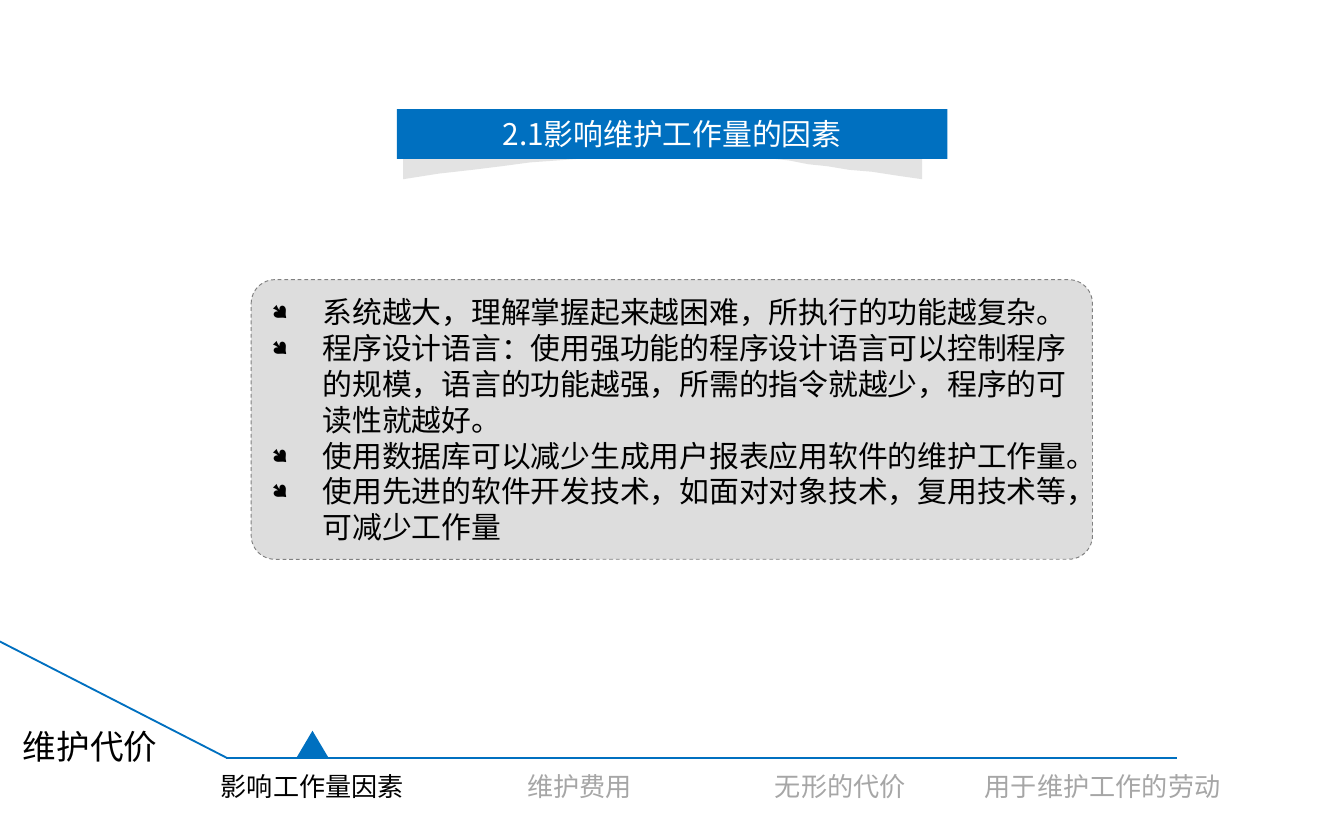
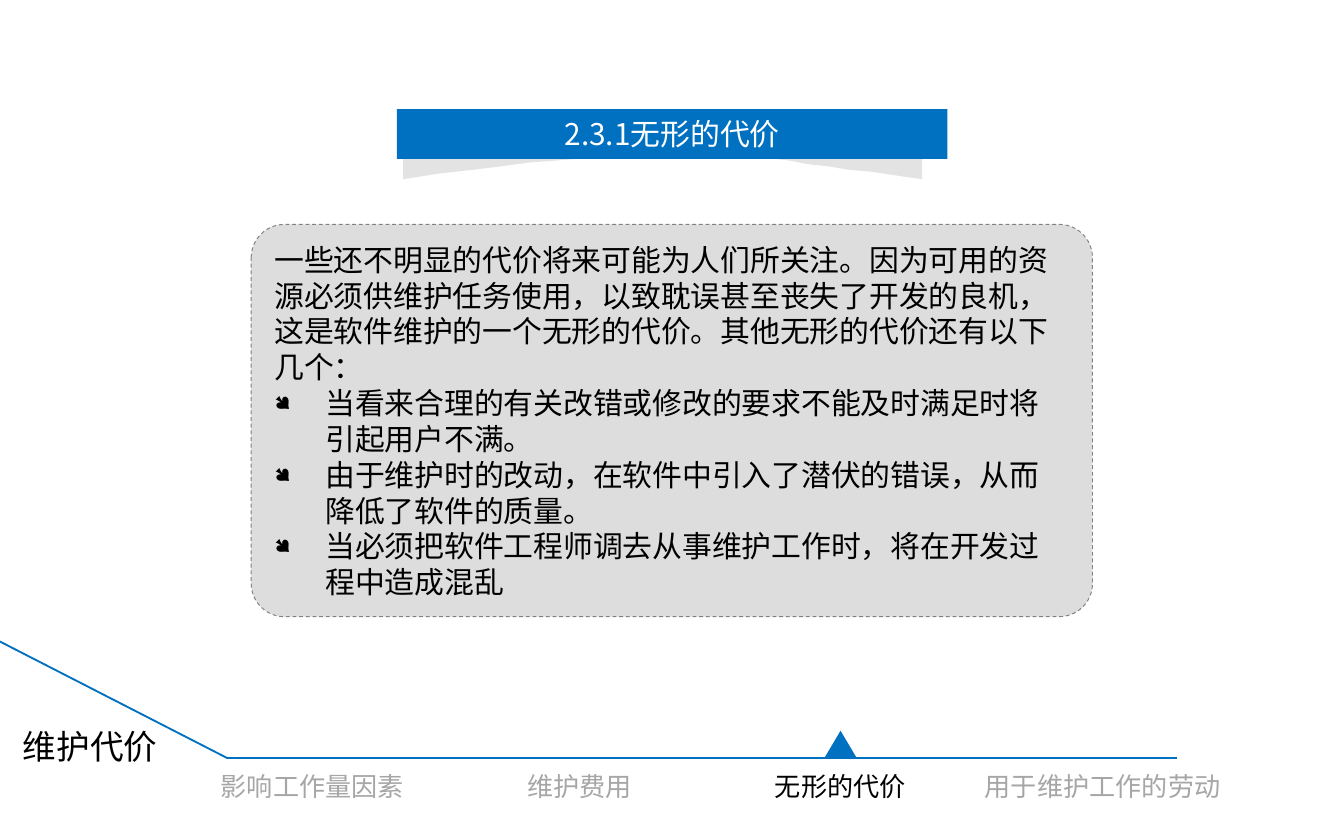
from lxml.etree import SubElement
from pptx import Presentation
from pptx.dml.color import RGBColor
from pptx.enum.dml import MSO_LINE
from pptx.enum.shapes import MSO_CONNECTOR, MSO_SHAPE
from pptx.enum.text import MSO_ANCHOR, MSO_AUTO_SIZE, PP_ALIGN
from pptx.oxml.ns import qn
from pptx.util import Pt

HUES = {"blue": "0070C0", "pale": "DDDDDD", "edge": "808080",
        "black": "000000", "dim": "A6A6A6", "white": "FFFFFF"}
LATO, NOTO = "Lato", "Noto Sans CJK SC"
AXIS = 406
ROUND = 0.085
INDENT = 27.36
BULLET = "●"

CHAPTER = "维护代价"
# label, left, width
STEPS = [("影响工作量因素", 105.1, 124.6), ("维护费用", 227.5, 166.3),
         ("无形的代价", 393.8, 113), ("用于维护工作的劳动", 507.6, 166.3)]

SLIDES = [
    {"step": 0, "title": "2.1影响维护工作量的因素", "top": 149.8, "height": 149.8,
     "intro": [],
     "items": [
         "系统越大，理解掌握起来越困难，所执行的功能越复杂。",
         "程序设计语言：使用强功能的程序设计语言可以控制程序的规模，"
         "语言的功能越强，所需的指令就越少，程序的可读性就越好。",
         "使用数据库可以减少生成用户报表应用软件的维护工作量。",
         "使用先进的软件开发技术，如面对对象技术，复用技术等，可减少工作量"]},
    {"step": 2, "title": "2.3.1无形的代价", "top": 120.2, "height": 210.2,
     "intro": [
         "一些还不明显的代价将来可能为人们所关注。因为可用的资源必须供维护任务使用，"
         "以致耽误甚至丧失了开发的良机，这是软件维护的一个无形的代价。"
         "其他无形的代价还有以下几个："],
     "items": [
         "当看来合理的有关改错或修改的要求不能及时满足时将引起用户不满。",
         "由于维护时的改动，在软件中引入了潜伏的错误，从而降低了软件的质量。",
         "当必须把软件工程师调去从事维护工作时，将在开发过程中造成混乱"]},
]


def color(name):
    return RGBColor.from_string(HUES[name])


def paint(shape, fill):
    shape.fill.solid()
    shape.fill.fore_color.rgb = color(fill)


def place(shape, left, top, width, height):
    shape.left, shape.top = Pt(left), Pt(top)
    shape.width, shape.height = Pt(width), Pt(height)


def style(para, size, face, hue, align):
    para.alignment = align
    para.space_before = Pt(0)
    font = para.font
    font.size, font.name, font.bold = Pt(size), face, False
    font.color.rgb = color(hue)
    if face == NOTO:
        base = para._p.pPr.find(qn("a:defRPr"))
        SubElement(base, qn("a:ea")).set("typeface", face)


def mark(para, listed):
    """Set the bullet and hanging indent, or clear both."""
    props = para._p.get_or_add_pPr()
    indent = Pt(INDENT) if listed else 0
    props.set("marL", str(indent))
    props.set("indent", str(-indent))
    if listed:
        SubElement(props, qn("a:buSzPct")).set("val", "70000")
        SubElement(props, qn("a:buFont")).set("typeface", "Wingdings")
        SubElement(props, qn("a:buChar")).set("char", BULLET)
    else:
        SubElement(props, qn("a:buNone"))


def add_line(slide, *ends):
    line = slide.shapes.add_connector(MSO_CONNECTOR.STRAIGHT, *map(Pt, ends))
    line.line.color.rgb = color("blue")
    line.line.width = Pt(1)
    SubElement(line.element.spPr, qn("a:effectLst"))


def add_label(slide, text, box, size, hue):
    frame = slide.shapes.add_textbox(*map(Pt, box)).text_frame
    frame.word_wrap = True
    frame.text = text
    style(frame.paragraphs[0], size, LATO, hue, PP_ALIGN.CENTER)


def add_shape(slide, kind, box, fill):
    shape = slide.shapes.add_shape(kind, *map(Pt, box))
    shape.shadow.inherit = False
    paint(shape, fill)
    shape.line.fill.background()
    return shape


def add_track(slide, step):
    """Draw the chapter track along the foot and point at the current step."""
    add_line(slide, -2, 342.7, 121.5, AXIS)
    add_line(slide, 121, AXIS, 630.7, AXIS)
    add_label(slide, CHAPTER, (2.9, 385.2, 90.7, 28.8), 18, "black")
    for i, (text, left, width) in enumerate(STEPS):
        hue = "black" if i == step else "dim"
        add_label(slide, text, (left, 409, width, 24.5), 14, hue)
    _, left, width = STEPS[step]
    box = (left + width / 2 - 8.6, AXIS - 14.5, 17.2, 14.5)
    add_shape(slide, MSO_SHAPE.ISOSCELES_TRIANGLE, box, "blue")


def curve(knots, count=24):
    """Give points along a cubic Bezier curve."""
    for i in range(count + 1):
        t = i / count
        u = 1 - t
        parts = (u ** 3, 3 * u * u * t, 3 * u * t * t, t ** 3)
        yield tuple(sum(w * k[axis] for w, k in zip(parts, knots))
                    for axis in (0, 1))


def add_shade(slide):
    """Draw the curled shadow under the title banner."""
    left, right, top, foot = 216, 493.9, 74.9, 95.8
    knots = [(right, foot), (375.8, 80.6), (376.6, 74.9), (left, foot)]
    pen = slide.shapes.build_freeform(left, top, scale=Pt(1))
    pen.add_line_segments([(right, top), *curve(knots)], close=True)
    shade = pen.convert_to_shape()
    shade.shadow.inherit = False
    paint(shade, "pale")
    shade.line.fill.background()
    tint = shade.element.spPr.find(".//" + qn("a:srgbClr"))
    SubElement(tint, qn("a:alpha")).set("val", "80000")


def set_title(slide, text):
    title = slide.shapes.title
    slide.shapes.element.append(title.element)
    place(title, 212.6, 58.5, 295, 26.6)
    paint(title, "blue")
    frame = title.text_frame
    frame.text = text
    frame.auto_size = MSO_AUTO_SIZE.NONE
    frame.vertical_anchor = MSO_ANCHOR.MIDDLE
    style(frame.paragraphs[0], 16, NOTO, "white", PP_ALIGN.CENTER)


def add_panel(slide, top, height, intro, items):
    left, width = 134.6, 450.7
    panel = add_shape(slide, MSO_SHAPE.ROUNDED_RECTANGLE,
                      (left, top, width, height), "pale")
    panel.adjustments[0] = ROUND
    panel.line.color.rgb = color("edge")
    panel.line.width = Pt(0.5)
    panel.line.dash_style = MSO_LINE.DASH

    body = slide.placeholders[1]
    slide.shapes.element.append(body.element)
    inset = 0.29 * ROUND * height
    place(body, left + inset, top + inset, width - 2 * inset, height - 2 * inset)
    frame = body.text_frame
    frame.text = "\n".join(intro + items)
    frame.auto_size = MSO_AUTO_SIZE.NONE
    frame.vertical_anchor = MSO_ANCHOR.MIDDLE
    for i, para in enumerate(frame.paragraphs):
        mark(para, i >= len(intro))
        style(para, 16, NOTO, "black", PP_ALIGN.LEFT)


def main():
    deck = Presentation()
    deck.slide_width, deck.slide_height = Pt(720), Pt(450)
    for page in SLIDES:
        slide = deck.slides.add_slide(deck.slide_layouts[1])
        add_track(slide, page["step"])
        add_shade(slide)
        set_title(slide, page["title"])
        add_panel(slide, page["top"], page["height"], page["intro"], page["items"])
    deck.save("out.pptx")


if __name__ == "__main__":
    main()
